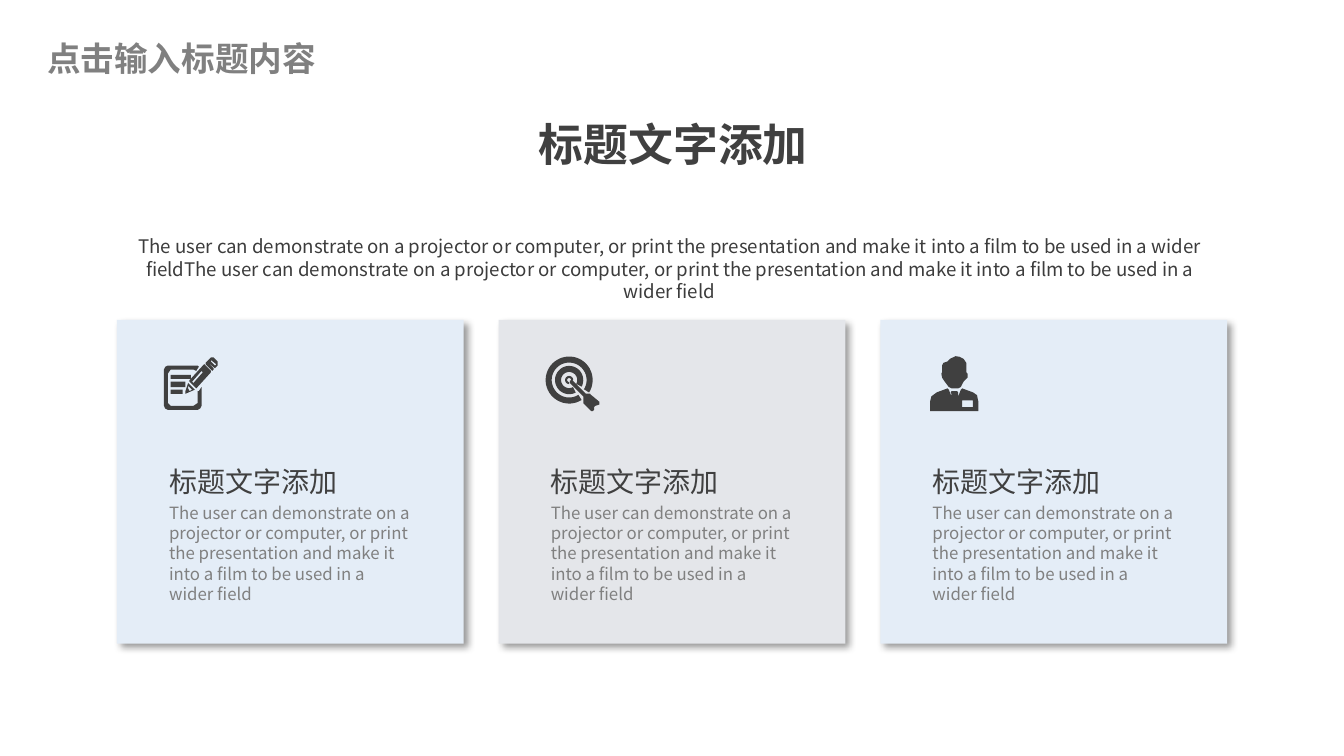
from math import cos, radians, sin

from lxml.etree import SubElement
from pptx import Presentation
from pptx.dml.color import RGBColor
from pptx.enum.shapes import MSO_SHAPE
from pptx.enum.text import MSO_ANCHOR, MSO_AUTO_SIZE, PP_ALIGN
from pptx.oxml.ns import qn
from pptx.util import Inches, Pt

FONT = "Noto Sans CJK SC"
GRAY = RGBColor(0x80, 0x80, 0x80)
DARK = RGBColor(0x40, 0x40, 0x40)
INTRO_COLOR = RGBColor(0x3C, 0x3C, 0x3C)
PALE_BLUE = RGBColor(0xE4, 0xED, 0xF7)
PALE_GRAY = RGBColor(0xE4, 0xE6, 0xEA)

TITLE = "点击输入标题内容"
HEADING = "标题文字添加"
BODY = ("The user can demonstrate on a projector or computer, or print the "
        "presentation and make it into a film to be used in a wider field")


def rectangle(left, top, right, bottom):
    """Return the corners of a rectangle."""
    return [(left, top), (right, top), (right, bottom), (left, bottom)]


def ring(outer, inner, gap):
    """Return a ring of the target that is open by gap degrees at lower right."""
    start, sweep, steps = 45 + gap / 2, 360 - gap, 48
    angles = [radians(start + sweep * step / steps) for step in range(steps + 1)]
    arcs = [(outer, angle) for angle in angles]
    arcs += [(inner, angle) for angle in reversed(angles)]
    return [(17.5 + radius * cos(angle), 17.8 + radius * sin(angle))
            for radius, angle in arcs]


NOTEPAD_ICON = [
    [(3, 6), (25, 6), (26, 7), (24, 10), (22, 9), (5, 9), (3, 12), (3, 34),
     (5, 36), (22, 36), (25, 34), (25, 25), (26, 25), (28, 22), (28, 36),
     (27, 38), (25, 39), (3, 39), (1, 38), (0, 36), (0, 9), (1, 7)],
    rectangle(5, 13, 20, 16),
    rectangle(5, 18, 16, 22),
    rectangle(5, 24, 14, 27),
    [(18, 19), (23, 24), (16, 27), (16, 25)],
    [(18, 21), (18, 23), (19, 25), (21, 24)],
    [(30, 5), (35, 10), (35, 11), (25, 22), (24, 23), (19, 18), (19, 17), (29, 6)],
    [(28, 10), (21, 18), (22, 19), (29, 11)],
    [(32, 3), (37, 8), (37, 9), (36, 10), (31, 5), (31, 4)],
    [(35, 0), (37, 0), (40, 3), (40, 6), (38, 8), (32, 3)],
    [(35, 2), (35, 3), (38, 6), (39, 5)],
]
TARGET_ICON = [
    ring(17.5, 13, 26),
    ring(10.5, 6, 34),
    ring(3, 1.5, 90),
    [(19, 18), (20, 18), (30, 28), (33, 28), (34, 29), (40, 34), (40, 36),
     (37, 37), (36, 38), (36, 40), (35, 41), (34, 41), (28, 35), (28, 30),
     (18, 20), (18, 18)],
]
PERSON_ICON = [
    [(19, 0), (22, 0.5), (25, 2), (27, 5), (27, 12), (28, 13), (28, 16),
     (25, 19), (23, 23), (21, 24), (16, 24), (14, 23), (11, 19), (9, 16),
     (8.5, 13), (9, 12), (9, 7), (10, 5), (13, 4), (15, 2)],
    [(13, 24), (14, 25), (16, 30), (16, 28), (15.5, 27), (16, 26), (20, 26),
     (21, 27), (21, 30), (23, 25), (24, 24), (32, 27), (35, 29), (36, 34),
     (36, 41), (0, 41), (0, 34), (1, 30), (5, 27)],
    rectangle(24, 33, 32, 38),
]


def write_text(frame, text, size, color, bold=False, align=PP_ALIGN.LEFT):
    """Fill a text frame with one formatted paragraph."""
    frame.word_wrap = True
    frame.auto_size = MSO_AUTO_SIZE.NONE
    paragraph = frame.paragraphs[0]
    paragraph.text = text
    paragraph.alignment = align
    font = paragraph.font
    font.size, font.bold, font.name = Pt(size), bold, FONT
    font.color.rgb = color
    properties = paragraph._p.pPr.find(qn("a:defRPr"))
    SubElement(properties, qn("a:ea"), typeface=FONT)


def add_text(shapes, box, text, size, color, margins=(0.1, 0.05), **style):
    """Add a text box at the given left, top, width and height."""
    frame = shapes.add_textbox(*map(Inches, box)).text_frame
    frame.margin_left = frame.margin_right = Inches(margins[0])
    frame.margin_top = frame.margin_bottom = Inches(margins[1])
    write_text(frame, text, size, color, **style)


def add_title(slide, box):
    """Place and format the slide title."""
    title = slide.shapes.title
    title.left, title.top, title.width, title.height = map(Inches, box)
    frame = title.text_frame
    frame.margin_left = frame.margin_right = 0
    frame.vertical_anchor = MSO_ANCHOR.MIDDLE
    write_text(frame, TITLE, 18, GRAY, bold=True)


def add_intro(slide, left, top, width):
    """Add the centred heading and the introduction below it."""
    style = {"margins": (0.07, 0.04), "align": PP_ALIGN.CENTER}
    add_text(slide.shapes, (left, top + 0.88, width, 0.41), BODY + BODY, 10,
             INTRO_COLOR, **style)
    add_text(slide.shapes, (left + 2.1, top, 4.1, 0.48), HEADING, 24, DARK,
             bold=True, **style)


def add_shadow(shape):
    """Give a shape a soft shadow towards the lower right."""
    shape.shadow.inherit = False
    effects = shape._element.spPr.find(qn("a:effectLst"))
    shadow = SubElement(effects, qn("a:outerShdw"), blurRad=str(Pt(4)),
                        dist=str(Pt(3)), dir="2700000", algn="tl", rotWithShape="0")
    color = SubElement(shadow, qn("a:srgbClr"), val="000000")
    SubElement(color, qn("a:alpha"), val="40000")


def add_icon(shapes, left, top, contours):
    """Draw contours, given in hundredths of an inch, as one dark shape."""
    unit = Inches(0.01)
    outlines = [[(x * unit, y * unit) for x, y in contour] for contour in contours]
    builder = shapes.build_freeform(*outlines[0][0])
    for index, outline in enumerate(outlines):
        if index:
            builder.move_to(*outline[0])
        builder.add_line_segments(outline[1:], close=True)
    icon = builder.convert_to_shape(Inches(left), Inches(top))
    icon.shadow.inherit = False
    icon.fill.solid()
    icon.fill.fore_color.rgb = DARK
    icon.line.fill.background()


def add_card(slide, box, color, contours, icon_offset):
    """Add a grouped card with its icon, heading and body text."""
    left, top = box[:2]
    shapes = slide.shapes.add_group_shape().shapes
    card = shapes.add_shape(MSO_SHAPE.RECTANGLE, *map(Inches, box))
    card.fill.solid()
    card.fill.fore_color.rgb = color
    card.line.fill.background()
    add_shadow(card)
    add_icon(shapes, left + icon_offset[0], top + icon_offset[1], contours)
    add_text(shapes, (left + 0.29, top + 1.03, 2, 0.35), HEADING, 15, DARK)
    add_text(shapes, (left + 0.29, top + 1.31, 2, 0.71), BODY, 9, GRAY)


def main():
    """Build and save the presentation."""
    presentation = Presentation()
    presentation.slide_width = Inches(10)
    presentation.slide_height = Inches(10) * 9 // 16
    slide = presentation.slides.add_slide(presentation.slide_layouts[5])
    add_title(slide, (0.35, 0.22, 2.33, 0.42))
    cards = [
        (PALE_BLUE, NOTEPAD_ICON, (0.35, 0.28)),
        (PALE_GRAY, TARGET_ICON, (0.35, 0.27)),
        (PALE_BLUE, PERSON_ICON, (0.37, 0.27)),
    ]
    for index, card in enumerate(cards):
        add_card(slide, (0.87 + 2.84 * index, 2.38, 2.58, 2.41), *card)
    add_intro(slide, 0.86, 0.83, 8.24)
    presentation.save("out.pptx")


if __name__ == "__main__":
    main()
